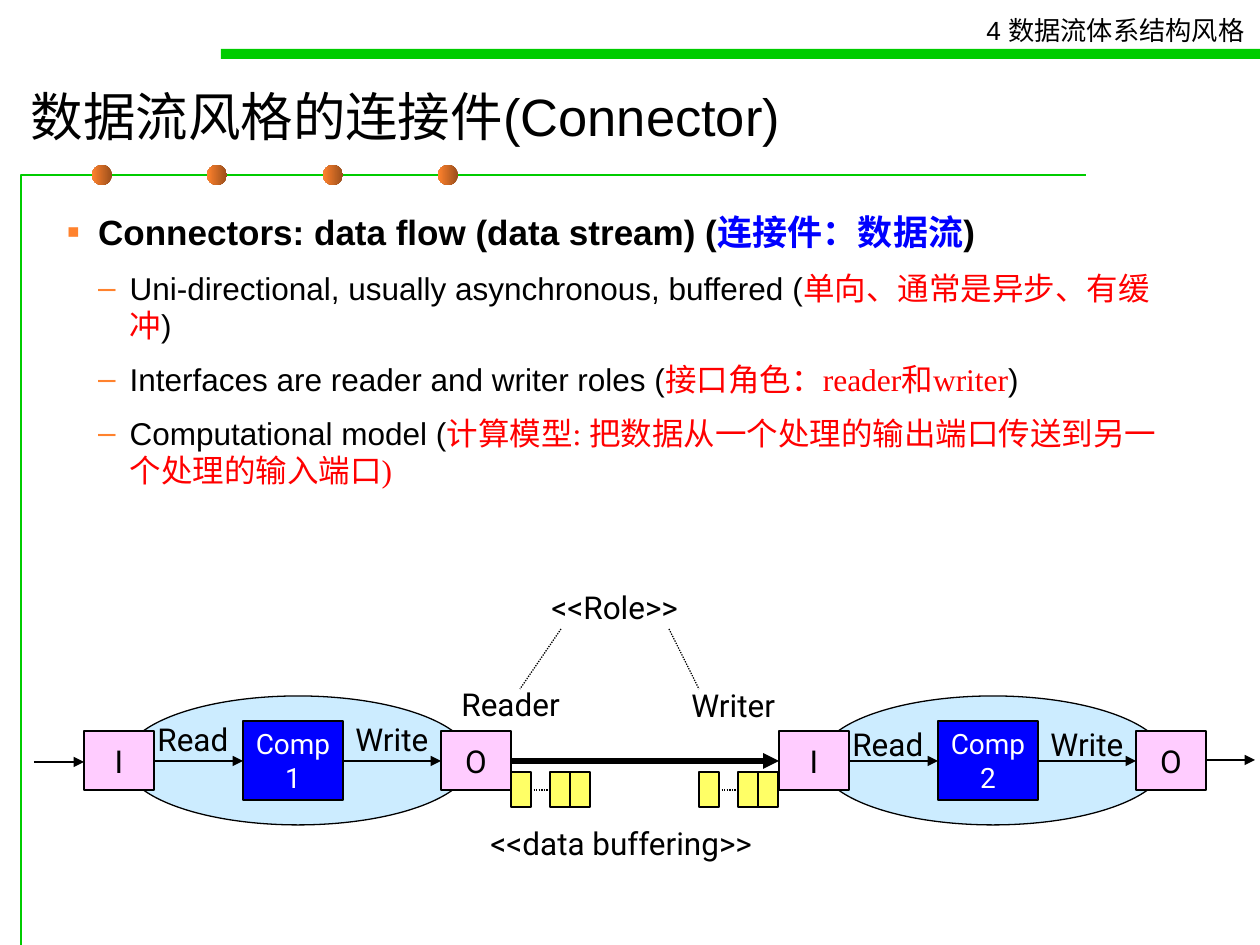
from dataclasses import dataclass

from lxml import etree
from pptx import Presentation
from pptx.dml.color import RGBColor
from pptx.enum.dml import MSO_LINE
from pptx.enum.shapes import MSO_CONNECTOR, MSO_SHAPE
from pptx.enum.text import MSO_ANCHOR, MSO_AUTO_SIZE, PP_ALIGN
from pptx.oxml.ns import qn
from pptx.util import Emu, Inches, Pt

RECT, OVAL = MSO_SHAPE.RECTANGLE, MSO_SHAPE.OVAL
STRAIGHT = MSO_CONNECTOR.STRAIGHT
DOTTED = MSO_LINE.ROUND_DOT
MIDDLE, TOP = MSO_ANCHOR.MIDDLE, MSO_ANCHOR.TOP
LEFT, CENTER = PP_ALIGN.LEFT, PP_ALIGN.CENTER
FIT, FIXED = MSO_AUTO_SIZE.SHAPE_TO_FIT_TEXT, MSO_AUTO_SIZE.NONE
SCALE = 914400 / 126


@dataclass(frozen=True)
class Theme:
    sans: str = "Arial"
    serif: str = "Times New Roman"
    label_font: str = "Roboto"
    black: str = "000000"
    white: str = "FFFFFF"
    green: str = "00CC00"
    orange: str = "FF822D"
    brown: str = "9A4E1B"
    blue: str = "0000FF"
    red: str = "FF0000"
    pink: str = "FFCCFF"
    sky: str = "CCECFF"
    yellow: str = "FFFF66"
    title: int = 30
    heading: int = 20
    text: int = 18
    comp: int = 16
    header: int = 15
    thin: float = 0.75
    thick: float = 3


def px(n):
    return Emu(round(n * SCALE))


def rgb(code):
    return RGBColor.from_string(code)


class Deck:
    """Builds slide elements in one theme."""

    def __init__(self, theme):
        self.t = theme
        self.prs = Presentation()
        self.prs.slide_width, self.prs.slide_height = Inches(10), Inches(7.5)
        self.s = self.prs.slides.add_slide(self.prs.slide_layouts[1])

    def font(self, r, size, color, name, bold=False):
        r.font.size, r.font.name, r.font.bold = Pt(size), name, bold
        r.font.color.rgb = rgb(color)

    def set_text(self, tf, text, size, color, name, align=LEFT):
        tf.text = text
        for p in tf.paragraphs:
            p.alignment = align
            for r in p.runs:
                self.font(r, size, color, name)

    def place(self, sp, x, y, w, h):
        sp.left, sp.top, sp.width, sp.height = px(x), px(y), px(w), px(h)

    def title(self, text, *box):
        sp = self.s.shapes.title
        self.place(sp, *box)
        tf = sp.text_frame
        tf.auto_size, tf.vertical_anchor = FIXED, MIDDLE
        self.set_text(tf, text, self.t.title, self.t.black, self.t.sans)

    def bullet(self, p, char, percent):
        pPr = p._p.get_or_add_pPr()
        color = etree.SubElement(pPr, qn("a:buClr"))
        etree.SubElement(color, qn("a:srgbClr"), val=self.t.orange)
        etree.SubElement(pPr, qn("a:buSzPct"), val=str(percent * 1000))
        etree.SubElement(pPr, qn("a:buFont"), typeface=self.t.sans)
        etree.SubElement(pPr, qn("a:buChar"), char=char)

    def body(self, items, *box):
        t = self.t
        sp = self.s.placeholders[1]
        self.place(sp, *box)
        tf = sp.text_frame
        tf.auto_size, tf.vertical_anchor = FIXED, TOP
        for i, (level, runs) in enumerate(items):
            p = tf.add_paragraph() if i else tf.paragraphs[0]
            p.level = level
            p.space_before = Pt(5.6 if i else 0)
            p.space_after = Pt(3.4 if level else 3.7)
            pPr = p._p.get_or_add_pPr()
            pPr.set("marL", str(Inches(0.25 * (level + 1))))
            pPr.set("indent", str(Inches(-0.25)))
            self.bullet(p, "–" if level else "▪", 100 if level else 110)
            for text, color, name in runs:
                r = p.add_run()
                r.text = text
                self.font(r, t.text if level else t.heading, color, name, not level)

    def shape(self, kind, x, y, w, h, fill, outlined=True):
        sp = self.s.shapes.add_shape(kind, px(x), px(y), px(w), px(h))
        sp.shadow.inherit = False
        sp.fill.solid()
        sp.fill.fore_color.rgb = rgb(fill)
        if outlined:
            sp.line.color.rgb, sp.line.width = rgb(self.t.black), Pt(self.t.thin)
        else:
            sp.line.fill.background()
        return sp

    def box(self, text, x, y, w, h, fill, color, size):
        tf = self.shape(RECT, x, y, w, h, fill).text_frame
        tf.word_wrap, tf.vertical_anchor = False, MIDDLE
        self.set_text(tf, text, size, color, self.t.label_font, CENTER)

    def dot(self, x, y, size):
        sp = self.shape(OVAL, x, y, size, size, self.t.orange, outlined=False)
        sp.fill.gradient()
        sp.fill.gradient_angle = 180
        for stop, color in zip(sp.fill.gradient_stops, (self.t.brown, self.t.orange)):
            stop.color.rgb = rgb(color)

    def label(self, text, x, y, w, h=50, size=None, name=None, wrap=False):
        tf = self.s.shapes.add_textbox(px(x), px(y), px(w), px(h)).text_frame
        tf.word_wrap, tf.auto_size = wrap, FIT
        self.set_text(tf, text, size or self.t.text, self.t.black, name or self.t.label_font)

    def line(self, x1, y1, x2, y2, width=None, arrow=False, dash=None):
        c = self.s.shapes.add_connector(STRAIGHT, px(x1), px(y1), px(x2), px(y2))
        c.line.color.rgb, c.line.width = rgb(self.t.black), Pt(width or self.t.thin)
        if dash:
            c.line.dash_style = dash
        spPr = c._element.spPr
        if arrow:
            etree.SubElement(spPr.find(qn("a:ln")), qn("a:tailEnd"), type="triangle")
        etree.SubElement(spPr, qn("a:effectLst"))

    def frame(self, start, *points):
        fb = self.s.shapes.build_freeform(*start, scale=SCALE)
        fb.add_line_segments(points, close=False)
        sp = fb.convert_to_shape()
        sp.shadow.inherit = False
        sp.fill.background()
        sp.line.color.rgb, sp.line.width = rgb(self.t.green), Pt(self.t.thin)

    def component(self, number, x, label_y):
        t = self.t
        self.shape(OVAL, x + 40, 696, 348, 129, t.sky)
        for port, dx in (("I", 0), ("O", 357)):
            self.box(port, x + dx, 731, 70, 59, t.pink, t.black, t.text)
        self.label("Read", x + 61, label_y, 100)
        self.label("Write", x + 259, label_y, 105)
        self.box(f"Comp\n{number}", x + 159, 721, 100, 79, t.blue, t.white, t.comp)
        for start, end in ((70, 159), (259, 357)):
            self.line(x + start, 761, x + end, 761, arrow=True)

    def buffer(self, x):
        for dx in (0, 39, 59):
            self.shape(RECT, x + dx, 772, 20, 35, self.t.yellow)
        self.line(x + 20, 790, x + 39, 790, dash=DOTTED)


def main():
    t = Theme()
    d = Deck(t)
    d.frame((21, 945), (21, 175), (1086, 175))
    for i in range(4):
        d.dot(92 + 231 * i // 2, 165, 20)
    d.shape(RECT, 221, 49, 1039, 10, t.green, outlined=False)
    d.label("4 数据流体系结构风格", 974, 8, 290, 44, t.header, t.sans)
    d.title("数据流风格的连接件(Connector)", 18, 71, 1171, 89)

    close = (")", t.black, t.sans)
    d.body([
        (0, [("Connectors: data flow (data stream) (", t.black, t.sans),
             ("连接件：数据流", t.blue, t.sans), close]),
        (1, [("Uni-directional, usually asynchronous, buffered (", t.black, t.sans),
             ("单向、通常是异步、有缓冲", t.red, t.serif), close]),
        (1, [("Interfaces are reader and writer roles (", t.black, t.sans),
             ("接口角色：reader和writer", t.red, t.serif), close]),
        (1, [("Computational model (", t.black, t.sans),
             ("计算模型: 把数据从一个处理的输出端口传送到另一个处理的输入端口)",
              t.red, t.serif)]),
    ], 54, 204, 1131, 704)

    d.component(2, 779, 719)
    d.component(1, 84, 714)
    d.line(511, 761, 779, 761, t.thick, arrow=True)
    d.line(34, 762, 84, 762, arrow=True)
    d.line(1206, 760, 1255, 760, arrow=True)
    d.label("Reader", 449, 679, 130)
    d.label("Writer", 679, 680, 111, 88, wrap=True)
    d.label("<<Role>>", 539, 582, 161)
    d.line(561, 629, 520, 689, dash=DOTTED)
    d.line(669, 629, 699, 689, dash=DOTTED)
    for x in (511, 699):
        d.buffer(x)
    d.label("<<data buffering>>", 478, 818, 310)
    d.prs.save("out.pptx")


if __name__ == "__main__":
    main()
